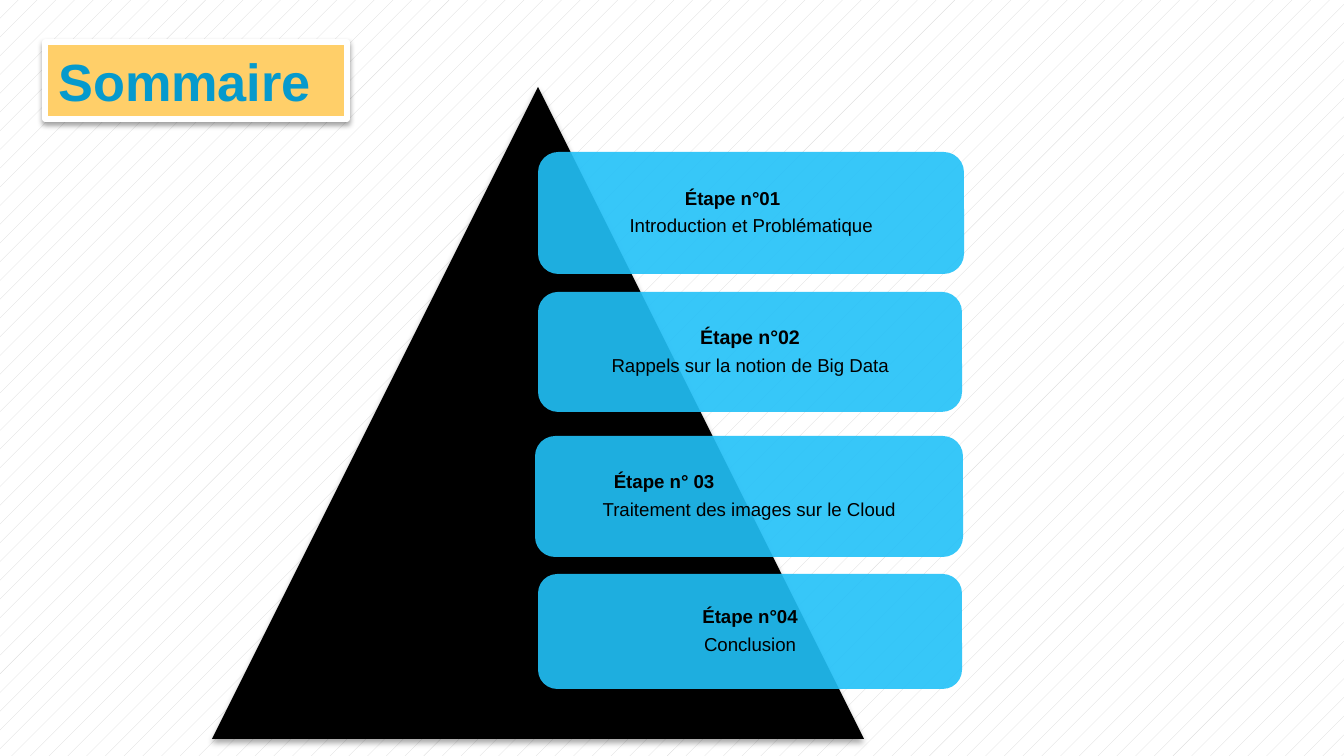
"""Build the "Sommaire" slide: a pyramid with four agenda steps."""
from dataclasses import dataclass

from lxml.etree import SubElement
from pptx import Presentation
from pptx.dml.color import RGBColor
from pptx.enum.dml import MSO_PATTERN
from pptx.enum.shapes import MSO_SHAPE
from pptx.enum.text import MSO_ANCHOR, PP_ALIGN
from pptx.oxml.ns import qn
from pptx.util import Emu, Pt

SCALE = 914400 / 134.4


@dataclass(frozen=True)
class Theme:
    font: str = "Arial"
    black: str = "000000"
    white: str = "FFFFFF"
    hatch: str = "D9D9D9"
    step: str = "22C1F8"
    label: str = "FFCF69"
    title: str = "069ACD"
    title_size: float = 28
    text_size: float = 10
    large_size: float = 10.5


THEME = Theme()

STEPS = [
    ((538, 152, 426, 122), "Étape n°01", "Introduction et Problématique", THEME.text_size, 136),
    ((538, 292, 424, 120), "Étape n°02", "Rappels sur la notion de Big Data", THEME.large_size, None),
    ((535, 436, 428, 121), "Étape n° 03", "Traitement des images sur le Cloud", THEME.text_size, 68),
    ((538, 574, 424, 115), "Étape n°04", "Conclusion", THEME.text_size, None),
]


def px(length):
    return Emu(round(length * SCALE))


def paint(shape, color):
    shape.fill.solid()
    shape.fill.fore_color.rgb = RGBColor.from_string(color)


def set_opacity(shape, percent):
    color = shape.fill._xPr.find(qn("a:solidFill"))[0]
    SubElement(color, qn("a:alpha"), val=str(percent * 1000))


def add_shadow(shape, opacity, distance):
    shape.shadow.inherit = False
    effects = shape._element.spPr.find(qn("a:effectLst"))
    shadow = SubElement(effects, qn("a:outerShdw"), blurRad=str(Pt(3.1)),
                        dist=str(Pt(distance)), dir="5400000", rotWithShape="0")
    color = SubElement(shadow, qn("a:srgbClr"), val=THEME.black)
    SubElement(color, qn("a:alpha"), val=str(opacity * 1000))


def add_span(para, text, size, color, bold):
    span = para.add_run()
    span.text = text
    span.font.name = THEME.font
    span.font.size = Pt(size)
    span.font.bold = bold
    span.font.color.rgb = RGBColor.from_string(color)


def add_block(page, kind, place, color):
    shape = page.shapes.add_shape(kind, *map(px, place))
    shape.shadow.inherit = False
    shape.line.fill.background()
    paint(shape, color)
    return shape


def format_title(page):
    title = page.shapes.title
    title.left, title.top, title.width, title.height = map(px, (45, 42, 302, 77))
    paint(title, THEME.label)
    title.line.color.rgb = RGBColor.from_string(THEME.white)
    title.line.width = Pt(3)
    add_shadow(title, 38, 1.6)
    frame = title.text_frame
    frame.vertical_anchor = MSO_ANCHOR.MIDDLE
    para = frame.paragraphs[0]
    para.alignment = PP_ALIGN.LEFT
    add_span(para, "Sommaire", THEME.title_size, THEME.title, True)


def add_step(page, place, heading, topic, heading_size, indent):
    box = add_block(page, MSO_SHAPE.ROUNDED_RECTANGLE, place, THEME.step)
    set_opacity(box, 90)
    frame = box.text_frame
    frame.word_wrap = True
    frame.vertical_anchor = MSO_ANCHOR.MIDDLE
    frame.margin_left = frame.margin_right = px(5)
    frame.margin_top = frame.margin_bottom = px(5)
    lines = [(frame.paragraphs[0], heading, heading_size, True),
             (frame.add_paragraph(), topic, THEME.text_size, False)]
    for para, text, size, bold in lines:
        para.alignment = PP_ALIGN.CENTER
        para.line_spacing = 0.9
        para.space_after = Pt(4)
        add_span(para, text, size, THEME.black, bold)
    if indent:
        first = frame.paragraphs[0]
        first.alignment = PP_ALIGN.LEFT
        first._p.get_or_add_pPr().set("marL", str(px(indent)))


def set_background(page):
    fill = page.background.fill
    fill.patterned()
    fill.pattern = MSO_PATTERN.PERCENT_5
    fill.fore_color.rgb = RGBColor.from_string(THEME.hatch)
    fill.back_color.rgb = RGBColor.from_string(THEME.white)


def main():
    deck = Presentation()
    deck.slide_width, deck.slide_height = px(1344), px(756)
    page = deck.slides.add_slide(deck.slide_layouts[5])
    set_background(page)
    pyramid = add_block(page, MSO_SHAPE.ISOSCELES_TRIANGLE, (212, 87, 652, 652), THEME.black)
    add_shadow(pyramid, 35, 1.8)
    for step in STEPS:
        add_step(page, *step)
    format_title(page)
    deck.save("out.pptx")


if __name__ == "__main__":
    main()
